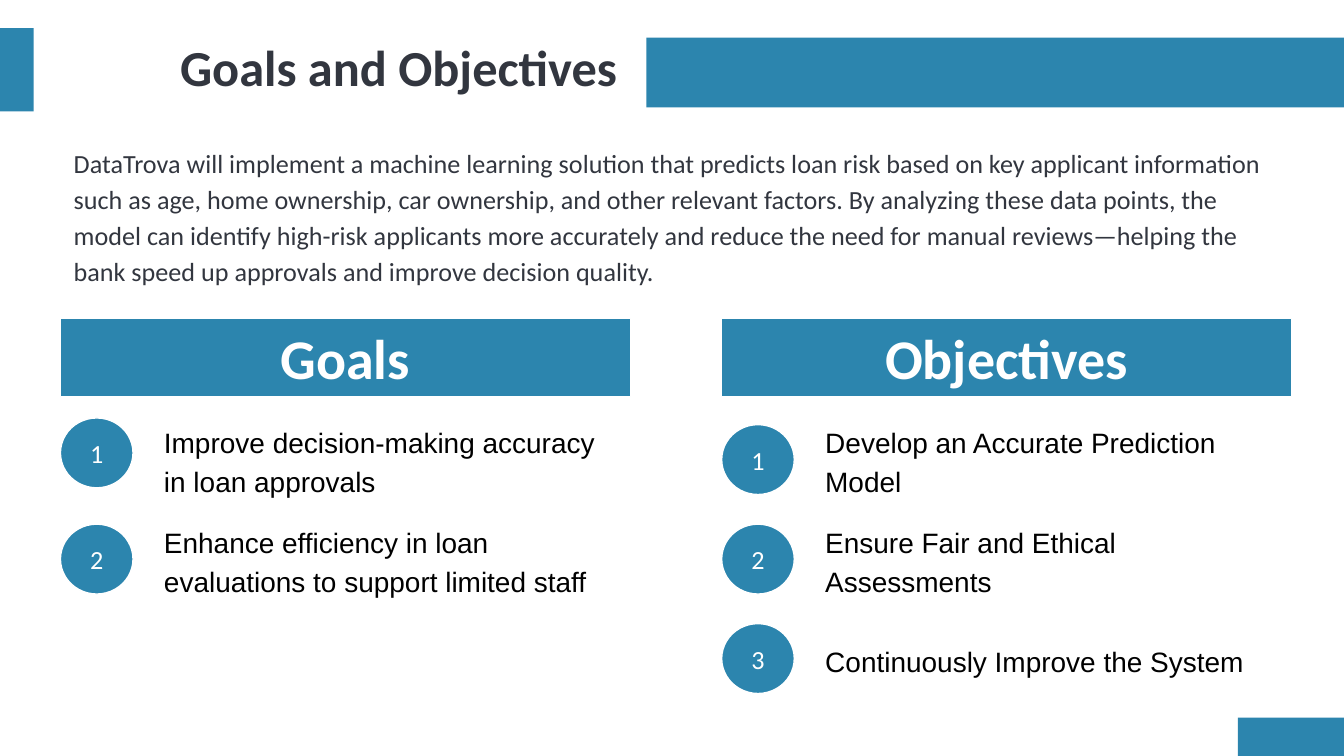
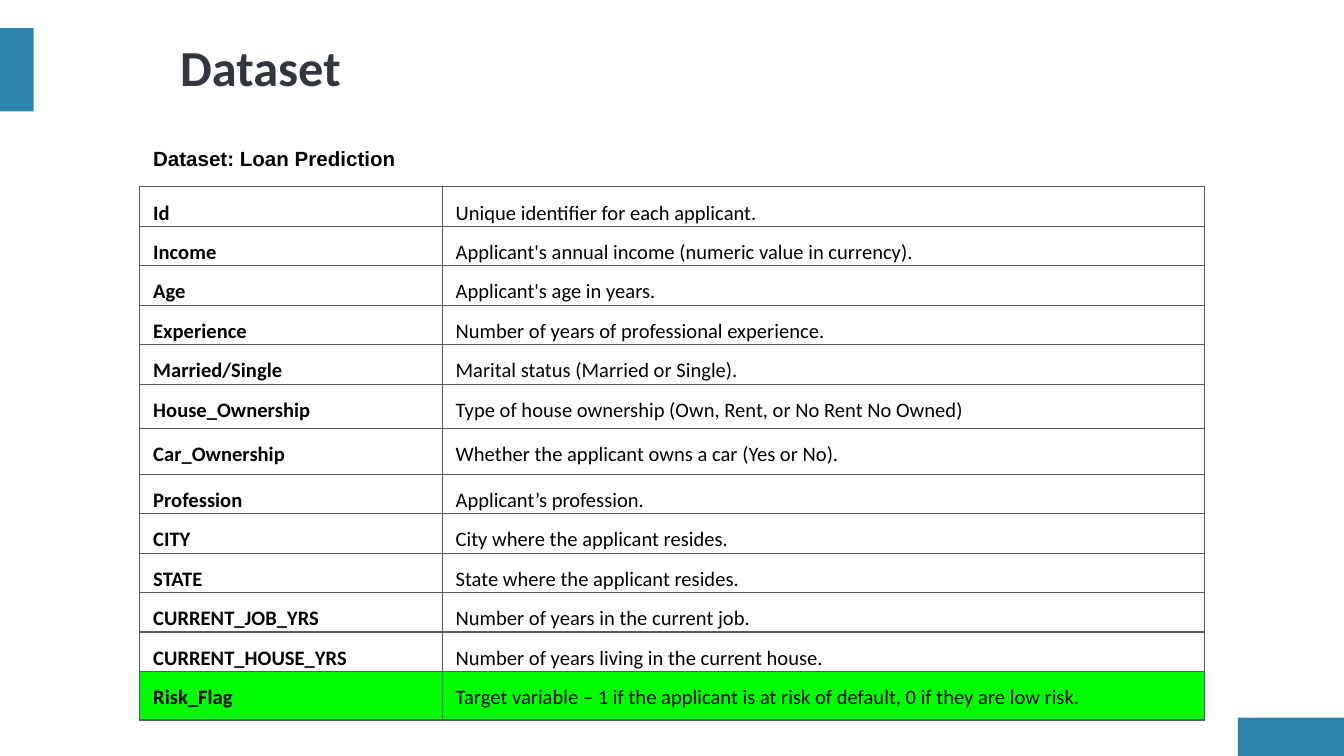
from copy import deepcopy
from dataclasses import dataclass
from typing import Optional

from lxml.etree import SubElement
from pptx import Presentation
from pptx.dml.color import RGBColor
from pptx.enum.shapes import MSO_SHAPE as Preset
from pptx.enum.text import MSO_ANCHOR as Anchor, MSO_AUTO_SIZE as AutoSize, PP_ALIGN as Align
from pptx.oxml.ns import qn
from pptx.util import Inches, Pt

BLUE = RGBColor(0x2C, 0x85, 0xAE)
INK = RGBColor(0x32, 0x36, 0x3F)
WHITE = RGBColor(0xFF, 0xFF, 0xFF)
BLACK = RGBColor(0, 0, 0)
GREEN = RGBColor(0, 0xFF, 0)
BORDER = RGBColor(0x59, 0x59, 0x59)

TABLE_HEIGHT = 3.97
TALL_ROWS = {"House_Ownership": 0.33, "Car_Ownership": 0.34, "Risk_Flag": 0.36}


@dataclass(frozen=True)
class Box:
    left: float
    top: float
    width: float
    height: float

    def lengths(self) -> tuple:
        return tuple(Inches(v) for v in (self.left, self.top, self.width, self.height))


@dataclass(frozen=True)
class Style:
    size: float
    font: str = "Calibri"
    color: RGBColor = INK
    bold: bool = False
    align: Align = Align.LEFT
    spacing: float = 1.0
    anchor: Anchor = Anchor.MIDDLE
    inset_x: float = 0.1
    inset_y: float = 0.1


@dataclass(frozen=True)
class Item:
    text: str
    circle_top: float
    text_top: float
    text_height: float


@dataclass(frozen=True)
class Column:
    heading: str
    left: float
    items: tuple[Item, ...]


@dataclass(frozen=True)
class Field:
    name: str
    meaning: str
    fill: RGBColor = WHITE


TITLE = Style(27, bold=True, spacing=0.9, inset_x=0.07, inset_y=0.04)
HEADING = Style(30, color=WHITE, bold=True, align=Align.CENTER)
NUMBER = Style(14, color=WHITE, align=Align.CENTER)
ITEM = Style(15, "Arial", BLACK, spacing=1.15, inset_x=0.07, inset_y=0.04)
INTRO = Style(14, spacing=1.15, anchor=Anchor.TOP)
CAPTION = Style(11, "Arial", BLACK, bold=True)
FIELD_NAME = Style(11, color=BLACK, bold=True)
FIELD_MEANING = Style(11, color=BLACK)

TITLE_BOX = Box(1.27, 0.21, 8.48, 0.62)
SHARED_BANDS = (Box(9.21, 5.34, 0.79, 0.29), Box(0, 0.21, 0.25, 0.62))

INTRO_TEXT = (
    "DataTrova will implement a machine learning solution that predicts loan risk based on "
    "key applicant information such as age, home ownership, car ownership, and other relevant "
    "factors. By analyzing these data points, the model can identify high-risk applicants more "
    "accurately and reduce the need for manual reviews—helping the bank speed up approvals and "
    "improve decision quality."
)

COLUMNS = (
    Column("Goals", 0.45, (
        Item("Improve decision-making accuracy in loan approvals", 3.11, 3.11, 0.62),
        Item("Enhance efficiency in loan evaluations to support limited staff", 3.9, 3.85, 0.62),
    )),
    Column("Objectives", 5.37, (
        Item("Develop an Accurate Prediction Model", 3.16, 3.16, 0.52),
        Item("Ensure Fair and Ethical Assessments", 3.9, 3.9, 0.52),
        Item("Continuously Improve the System", 4.64, 4.64, 0.52),
    )),
)

FIELDS = (
    Field("Id", "Unique identifier for each applicant."),
    Field("Income", "Applicant's annual income (numeric value in currency)."),
    Field("Age", "Applicant's age in years."),
    Field("Experience", "Number of years of professional experience."),
    Field("Married/Single", "Marital status (Married or Single)."),
    Field("House_Ownership", "Type of house ownership (Own, Rent, or No Rent No Owned)"),
    Field("Car_Ownership", "Whether the applicant owns a car (Yes or No)."),
    Field("Profession", "Applicant’s profession."),
    Field("CITY", "City where the applicant resides."),
    Field("STATE", "State where the applicant resides."),
    Field("CURRENT_JOB_YRS", "Number of years in the current job."),
    Field("CURRENT_HOUSE_YRS", "Number of years living in the current house."),
    Field("Risk_Flag",
          "Target variable – 1 if the applicant is at risk of default, 0 if they are low risk.",
          GREEN),
)


def write(frame, text: str, style: Style) -> None:
    paragraph = frame.paragraphs[0]
    paragraph.alignment = style.align
    paragraph.line_spacing = style.spacing
    paragraph.space_before = Pt(0)
    run = paragraph.add_run()
    run.text = text
    run.font.name = style.font
    run.font.size = Pt(style.size)
    run.font.bold = style.bold
    run.font.color.rgb = style.color


def fill_frame(shape, text: str, style: Style) -> None:
    frame = shape.text_frame
    frame.word_wrap = True
    frame.auto_size = AutoSize.NONE
    frame.vertical_anchor = style.anchor
    frame.margin_left = frame.margin_right = Inches(style.inset_x)
    frame.margin_top = frame.margin_bottom = Inches(style.inset_y)
    write(frame, text, style)


def place(shape, box: Box) -> None:
    shape.left, shape.top, shape.width, shape.height = box.lengths()


def add_block(slide, box: Box, preset: Preset = Preset.RECTANGLE,
              outline: Optional[RGBColor] = None):
    shape = slide.shapes.add_shape(preset, *box.lengths())
    shape.shadow.inherit = False
    shape.fill.solid()
    shape.fill.fore_color.rgb = BLUE
    if outline is None:
        shape.line.fill.background()
    else:
        shape.line.color.rgb = outline
        shape.line.width = Pt(0.75)
    return shape


def add_label(slide, box: Box, text: str, style: Style,
              preset: Preset = Preset.RECTANGLE) -> None:
    fill_frame(add_block(slide, box, preset, WHITE), text, style)


def add_text(slide, box: Box, text: str, style: Style) -> None:
    fill_frame(slide.shapes.add_textbox(*box.lengths()), text, style)


def fill_item(placeholder, box: Box, text: str) -> None:
    place(placeholder, box)
    properties = placeholder.text_frame.paragraphs[0]._p.get_or_add_pPr()
    properties.set("marL", "0")
    properties.set("indent", "0")
    SubElement(properties, qn("a:buNone"))
    fill_frame(placeholder, text, ITEM)


def add_slide(presentation, layout, title: str):
    slide = presentation.slides.add_slide(layout)
    place(slide.shapes.title, TITLE_BOX)
    fill_frame(slide.shapes.title, title, TITLE)
    return slide


def extend_layout(layout, count: int) -> None:
    body = layout.placeholders[1].element
    for index in range(count, 0, -1):
        extra = deepcopy(body)
        next(extra.iter(qn("p:cNvPr"))).set("id", str(100 + index))
        next(extra.iter(qn("p:ph"))).set("idx", str(20 + index))
        body.addnext(extra)


def move_bands_to_master(presentation, slide) -> None:
    first = presentation.slide_master.placeholders[0].element
    for index, box in enumerate(SHARED_BANDS):
        band = add_block(slide, box).element
        next(band.iter(qn("p:cNvPr"))).set("id", str(100 + index))
        first.addprevious(band)


def build_goals(presentation):
    layout = presentation.slide_layouts[1]
    extend_layout(layout, sum(len(column.items) for column in COLUMNS) - 1)
    slide = add_slide(presentation, layout, "Goals and Objectives")
    bodies = iter(list(slide.placeholders)[1:])
    for column in COLUMNS:
        add_label(slide, Box(column.left, 2.37, 4.24, 0.58), column.heading, HEADING)
        for number, item in enumerate(column.items, 1):
            circle = Box(column.left, item.circle_top, 0.54, 0.52)
            add_label(slide, circle, str(number), NUMBER, Preset.OVAL)
            text_box = Box(column.left + 0.7, item.text_top, 3.55, item.text_height)
            fill_item(next(bodies), text_box, item.text)
    add_text(slide, Box(0.45, 0.96, 9.09, 1.16), INTRO_TEXT, INTRO)
    add_block(slide, Box(4.81, 0.28, 5.19, 0.52))
    return slide


def format_cell(cell, text: str, style: Style, fill: RGBColor) -> None:
    cell.margin_left = cell.margin_right = cell.margin_top = Inches(0.1)
    cell.margin_bottom = 0
    properties = cell._tc.get_or_add_tcPr()
    for side in ("a:lnL", "a:lnR", "a:lnT", "a:lnB"):
        line = SubElement(properties, qn(side), w=str(Pt(0.75)))
        color = SubElement(SubElement(line, qn("a:solidFill")), qn("a:srgbClr"))
        color.set("val", str(BORDER))
    cell.fill.solid()
    cell.fill.fore_color.rgb = fill
    write(cell.text_frame, text, style)


def build_dataset(presentation) -> None:
    slide = add_slide(presentation, presentation.slide_layouts[5], "Dataset")
    add_text(slide, Box(1.04, 1.1, 7.92, 0.15), "Dataset: Loan Prediction", CAPTION)
    box = Box(1.04, 1.39, 7.92, TABLE_HEIGHT)
    table = slide.shapes.add_table(len(FIELDS), 2, *box.lengths()).table
    table.first_row = table.horz_banding = False
    for column, width in zip(table.columns, (2.25, 5.67)):
        column.width = Inches(width)
    regular = (TABLE_HEIGHT - sum(TALL_ROWS.values())) / (len(FIELDS) - len(TALL_ROWS))
    for index, field in enumerate(FIELDS):
        table.rows[index].height = Inches(TALL_ROWS.get(field.name, regular))
        format_cell(table.cell(index, 0), field.name, FIELD_NAME, field.fill)
        format_cell(table.cell(index, 1), field.meaning, FIELD_MEANING, field.fill)


def main() -> None:
    presentation = Presentation()
    presentation.slide_width = Inches(10)
    presentation.slide_height = Inches(10) * 9 // 16
    move_bands_to_master(presentation, build_goals(presentation))
    build_dataset(presentation)
    presentation.save("out.pptx")


if __name__ == "__main__":
    main()
